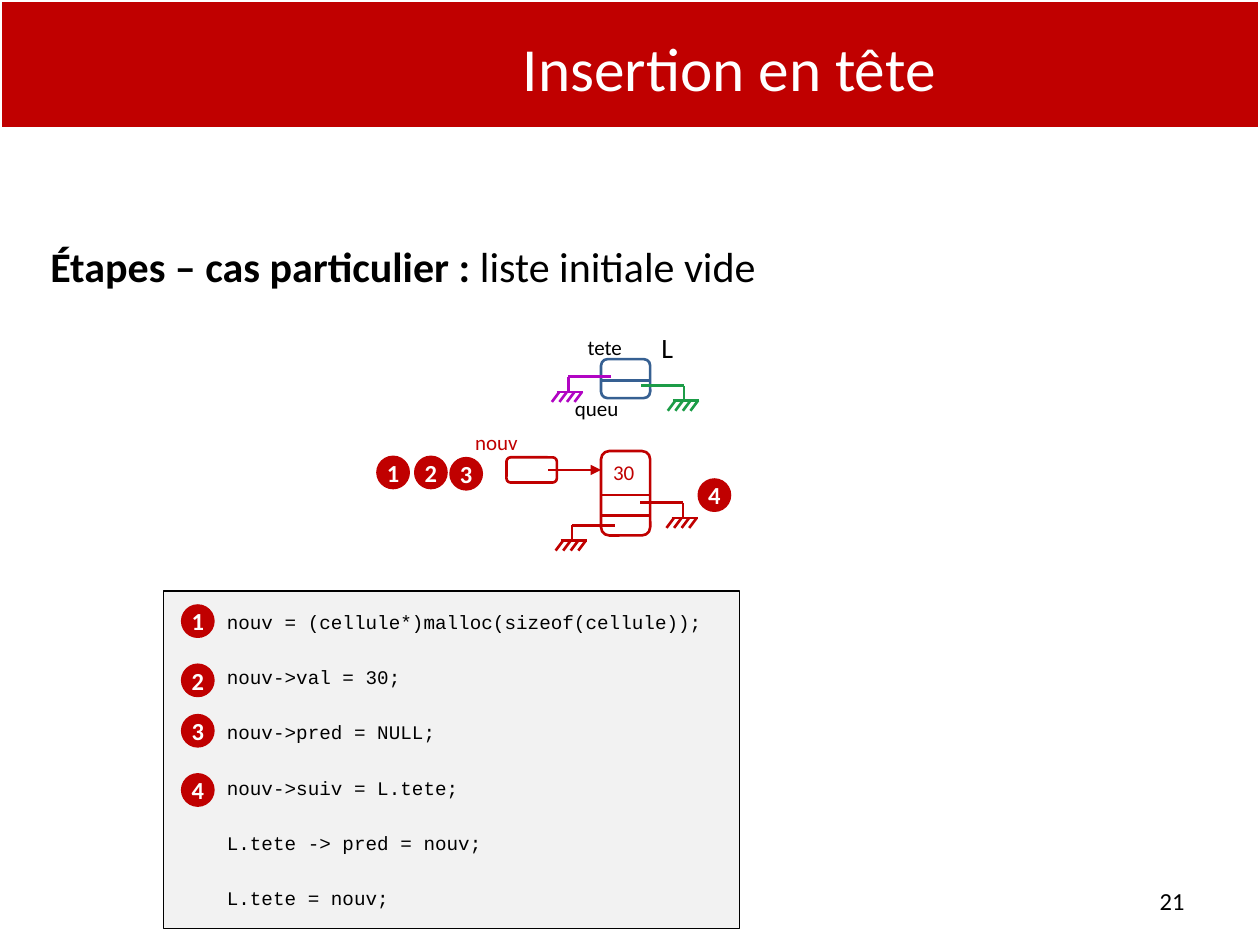
from lxml import etree
from pptx import Presentation
from pptx.dml.color import RGBColor
from pptx.enum import shapes as kinds, text
from pptx.oxml import ns
from pptx.util import Inches, Pt

RED, BLUE, PURPLE, GREEN = "C00000", "366092", "B105C3", "1C9C47"
BLACK, WHITE, GREY = "000000", "FFFFFF", "F2F2F2"
RECT = kinds.MSO_SHAPE.RECTANGLE
ROUND = kinds.MSO_SHAPE.ROUNDED_RECTANGLE
OVAL = kinds.MSO_SHAPE.OVAL
MID = text.MSO_ANCHOR.MIDDLE
LEFT, CENTER, RIGHT = text.PP_ALIGN.LEFT, text.PP_ALIGN.CENTER, text.PP_ALIGN.RIGHT
CODE = [
    "nouv = (cellule*)malloc(sizeof(cellule));",
    "nouv->val = 30;",
    "nouv->pred = NULL;",
    "nouv->suiv = L.tete;",
    "L.tete -> pred = nouv;",
    "L.tete = nouv;",
]


def color(code):
    return RGBColor.from_string(code)


def place(item, x, y, w, h):
    item.left, item.top, item.width, item.height = map(Inches, (x, y, w, h))


def write(item, words, size, ink, align=CENTER, font="Calibri", bold=False):
    frame = item.text_frame
    frame.word_wrap = True
    frame.text = words
    for para in frame.paragraphs:
        para.alignment = align
        for run in para.runs:
            run.font.name, run.font.size = font, Pt(size)
            run.font.bold = bold
            run.font.color.rgb = color(ink)
    return frame


def shape(group, kind, box, fill, edge, width):
    item = group.add_shape(kind, *map(Inches, box))
    item.shadow.inherit = False
    if fill:
        item.fill.solid()
        item.fill.fore_color.rgb = color(fill)
    else:
        item.fill.background()
    item.line.color.rgb = color(edge)
    item.line.width = Pt(width)
    return item


def line(group, x1, y1, x2, y2, ink, arrow=False):
    item = group.add_connector(
        kinds.MSO_CONNECTOR.STRAIGHT, *map(Inches, (x1, y1, x2, y2)))
    item.line.color.rgb = color(ink)
    item.line.width = Pt(1.5)
    if arrow:
        end = etree.SubElement(item.line._get_or_add_ln(), ns.qn("a:tailEnd"))
        end.set("type", "triangle")
    etree.SubElement(item.element.spPr, ns.qn("a:effectLst"))


def label(group, x, y, w, h, words, size=12, ink=BLACK, align=CENTER):
    item = group.add_textbox(*map(Inches, (x, y, w, h)))
    return write(item, words, size, ink, align)


def badge(group, x, y, num):
    """Numbered disc for one step."""
    disc = shape(group, OVAL, (x, y, 0.24, 0.24), RED, RED, 2)
    frame = write(disc, str(num), 14, WHITE, bold=True)
    frame.word_wrap = False
    frame.vertical_anchor = MID
    frame.margin_left = frame.margin_right = 0
    frame.margin_top = frame.margin_bottom = 0


def ground(group, x, y, side, ink):
    """NULL pointer: a lead going left (-1) or right (1), then an earth sign."""
    foot, base = x + 0.34 * side, y + 0.12
    line(group, x, y, foot, y, ink)
    line(group, foot, y, foot, base, ink)
    line(group, foot - 0.09, base, foot + 0.12, base, ink)
    for i in range(4):
        top = foot - 0.07 + 0.06 * i
        line(group, top, base, top - 0.06, base + 0.08, ink)


def header(slide, x, y, w, h):
    title = slide.shapes.title
    place(title, x + 2.17, y + 0.19, 7.24, 0.69)
    frame = write(title, "Insertion en tête", 35, WHITE)
    frame.vertical_anchor = MID
    frame.auto_size = text.MSO_AUTO_SIZE.NONE
    band = shape(slide.shapes, RECT, (x, y, w, h), RED, WHITE, 2)
    title.element.addprevious(band.element)


def body(slide, x, y, w, h):
    item = slide.placeholders[1]
    place(item, x, y, w, h)
    frame = item.text_frame
    frame.auto_size = text.MSO_AUTO_SIZE.NONE
    para = frame.paragraphs[0]
    props = para._p.get_or_add_pPr()
    props.set("marL", str(Inches(0.4)))
    props.set("indent", str(Inches(-0.38)))
    etree.SubElement(props, ns.qn("a:buNone"))
    para.alignment = text.PP_ALIGN.JUSTIFY
    para.space_before = Pt(0)
    for words, bold in (("Étapes – cas particulier : ", True),
                        ("liste initiale vide", False)):
        run = para.add_run()
        run.text = words
        run.font.name, run.font.size, run.font.bold = "Calibri", Pt(24), bold
        run.font.color.rgb = color(BLACK)


def code(slide, x, y, w, h):
    group = slide.shapes.add_group_shape().shapes
    panel = shape(group, RECT, (x, y, w, h), GREY, BLACK, 0.75)
    frame = write(panel, "\n".join(CODE), 11, BLACK, LEFT, "Courier New")
    frame.vertical_anchor = MID
    frame.margin_left = Inches(0.5)
    for para in frame.paragraphs[1:]:
        para.space_before = Pt(18.4)
    for num, drop in enumerate((0.12, 0.59, 0.99, 1.46), 1):
        badge(group, x + 0.15, y + drop, num)


def head(group, x, y, w, h):
    """Empty list L, with its two pointers."""
    shape(group, ROUND, (x, y, w, h), None, BLUE, 1.5)
    line(group, x, y + 0.17, x + w, y + 0.17, BLUE)
    label(group, x - 0.47, y - 0.24, 1, 0.24, "tete")
    label(group, x - 0.46, y + 0.24, 0.85, 0.3, "queu")
    label(group, x + 0.34, y - 0.28, 0.37, 0.29, "L", 16)
    ground(group, x + 0.08, y + 0.14, -1, PURPLE)
    ground(group, x + 0.32, y + 0.21, 1, GREEN)


def cell(group, x, y, w, h):
    """New cell, the pointer to it and the step numbers."""
    shape(group, ROUND, (x, y, w, h), None, RED, 1.5)
    for drop in (0.35, 0.51):
        line(group, x, y + drop, x + w, y + drop, RED)
    label(group, x - 0.01, y + 0.02, 0.38, 0.3, "30", ink=RED)
    shape(group, ROUND, (x - 0.75, y + 0.05, 0.4, 0.2), None, RED, 1.5)
    line(group, x - 0.42, y + 0.15, x, y + 0.15, RED, arrow=True)
    label(group, x - 1.11, y - 0.22, 0.56, 0.3, "nouv", ink=RED)
    ground(group, x + 0.11, y + 0.59, -1, RED)
    ground(group, x + 0.31, y + 0.41, 1, RED)
    spots = ((-1.77, 0.05), (-1.47, 0.05), (-1.19, 0.06), (0.78, 0.23))
    for num, (dx, dy) in enumerate(spots, 1):
        badge(group, x + dx, y + dy, num)


def main():
    deck = Presentation()
    deck.slide_width, deck.slide_height = Inches(10), Inches(7.5)
    slide = deck.slides.add_slide(deck.slide_layouts[1])
    header(slide, 0, 0, 10, 1.02)
    body(slide, 0.28, 1.86, 9.37, 5.43)
    code(slide, 1.3, 4.69, 4.57, 2.68)
    group = slide.shapes.add_group_shape().shapes
    head(group, 4.77, 2.85, 0.39, 0.31)
    cell(group, 4.77, 3.58, 0.39, 0.67)
    page = label(slide.shapes, 7.17, 6.95, 2.33, 0.4, "21", 14, align=RIGHT)
    page.vertical_anchor = MID
    deck.save("out.pptx")


if __name__ == "__main__":
    main()
